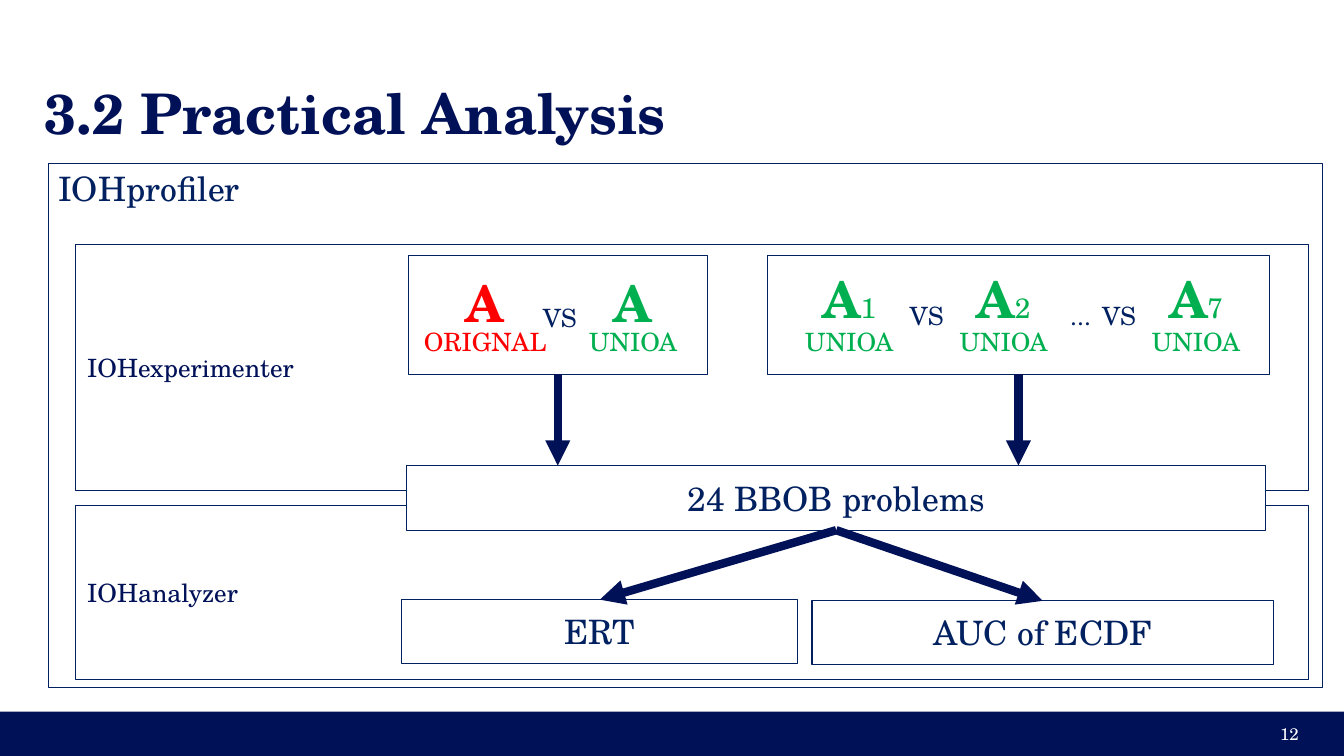
from collections import namedtuple

from lxml.etree import SubElement
from pptx import Presentation
from pptx.dml.color import RGBColor
from pptx.enum.shapes import MSO_CONNECTOR as Connector, MSO_SHAPE as Shape
from pptx.enum.text import MSO_ANCHOR as Anchor, PP_ALIGN as Align
from pptx.oxml.ns import qn
from pptx.util import Cm, Pt

COLORS = {
    "navy": "001158",
    "ink": "002060",
    "red": "FF0000",
    "green": "00B050",
    "white": "FFFFFF",
}
FONT = "TeX Gyre Schola"
Box = namedtuple("Box", "left top width height")


def color(name):
    return RGBColor.from_string(COLORS[name])


def center(box):
    return box.left + box.width / 2


def bottom(box):
    return box.top + box.height


def write(shape, runs, align=Align.CENTER, anchor=Anchor.MIDDLE, inset=(0, 0)):
    """Each run is (text, size, color name, bold); inset is (sides, top and bottom)."""
    frame = shape.text_frame
    side, edge = map(Cm, inset)
    frame_format = {
        "word_wrap": True, "vertical_anchor": anchor,
        "margin_left": side, "margin_right": side,
        "margin_top": edge, "margin_bottom": edge,
    }
    for name, value in frame_format.items():
        setattr(frame, name, value)
    paragraph = frame.paragraphs[0]
    paragraph.alignment = align
    for text, size, color_name, bold in runs:
        run = paragraph.add_run()
        run.text = text
        for name, value in {"name": FONT, "size": Pt(size), "bold": bold}.items():
            setattr(run.font, name, value)
        run.font.color.rgb = color(color_name)


def add_text(slide, box, runs, **layout):
    write(slide.shapes.add_textbox(*map(Cm, box)), runs, **layout)


def add_box(slide, box, fill=None, line="ink"):
    shape = slide.shapes.add_shape(Shape.RECTANGLE, *map(Cm, box))
    shape.shadow.inherit = False
    if fill:
        shape.fill.solid()
        shape.fill.fore_color.rgb = color(fill)
    else:
        shape.fill.background()
    if line:
        shape.line.color.rgb = color(line)
        shape.line.width = Pt(0.75)
    else:
        shape.line.fill.background()
    return shape


def add_arrow(slide, start, end):
    arrow = slide.shapes.add_connector(Connector.STRAIGHT, *map(Cm, start + end))
    arrow.line.color.rgb = color("navy")
    arrow.line.width = Pt(6)
    SubElement(arrow.line._get_or_add_ln(), qn("a:tailEnd"), type="triangle")
    SubElement(arrow._element.spPr, qn("a:effectLst"))


def add_algorithm(slide, middle, top, label_top, name, color_name, index=""):
    """Large A, with an optional index, above the name of its variant."""
    runs = [("A", 36, color_name, True)]
    if index:
        runs.append((index, 20, color_name, False))
    add_text(slide, Box(middle - 1.2, top, 2.4, 1.6), runs)
    add_text(slide, Box(middle - 1.85, label_top, 3.7, 1.17),
             [(name, 18, color_name, False)])


def add_word(slide, middle, top, word):
    add_text(slide, Box(middle - 0.88, top, 1.76, 1.6), [(word, 18, "ink", False)])


def add_pair(slide, box):
    add_box(slide, box)
    variants = [(1.94, "ORIGNAL", "red"), (5.67, "UNIOA", "green")]
    for offset, name, color_name in variants:
        add_algorithm(slide, box.left + offset, box.top + 0.38, box.top + 1.6,
                      name, color_name)
    add_word(slide, box.left + 3.82, box.top + 0.78, "VS")


def add_series(slide, box):
    add_box(slide, box)
    for offset, index in [(2.06, "1"), (5.95, "2"), (10.8, "7")]:
        middle = box.left + offset
        add_algorithm(slide, middle, box.top + 0.28, box.top + 1.6,
                      "UNIOA", "green", index)
        if index != "1":
            add_word(slide, middle - 1.94, box.top + 0.73, "VS")
        if index == "7":
            add_word(slide, middle - 2.91, box.top + 0.73, "...")


def add_diagram(slide, area):
    def inside(left, top, width, height):
        return Box(area.left + left, area.top + top, width, height)

    # Nested tool frames
    write(add_box(slide, area), [("IOHprofiler", 24, "ink", False)],
          align=Align.LEFT, anchor=Anchor.TOP, inset=(0.25, 0.13))
    frames = [("IOHanalyzer", 8.64, 4.37), ("IOHexperimenter", 2.04, 6.2)]
    for name, top, height in frames:
        frame = add_box(slide, inside(0.68, top, 31.09, height), fill="white")
        write(frame, [(name, 18, "navy", False)], align=Align.LEFT, inset=(0.3, 0.3))

    # Comparisons, test problems and measures
    pair = inside(9.07, 2.32, 7.54, 3)
    series = inside(18.13, 2.32, 12.65, 3)
    problems = inside(9.04, 7.62, 21.64, 1.63)
    ert = inside(8.91, 11, 9.98, 1.6)
    auc = inside(19.25, 11.03, 11.63, 1.6)
    add_pair(slide, pair)
    add_series(slide, series)
    labelled = [(problems, "24 BBOB problems", "white"),
                (ert, "ERT", None), (auc, "AUC of ECDF", None)]
    for box, text, fill in labelled:
        write(add_box(slide, box, fill), [(text, 24, "ink", False)])

    # Flow from comparisons through problems to measures
    for box in (pair, series):
        add_arrow(slide, (center(box), bottom(box)), (center(box), problems.top))
    for box in (ert, auc):
        add_arrow(slide, (center(problems), bottom(problems)), (center(box), box.top))


def add_footer(slide, box):
    add_box(slide, box, fill="navy", line=None)
    add_text(slide, Box(box.width - 8.51, box.top + 0.05, 7.62, 1.02),
             [("12", 12, "white", False)], align=Align.RIGHT, inset=(0.25, 0.13))


def main():
    presentation = Presentation()
    presentation.slide_width, presentation.slide_height = Cm(33.88), Cm(19.05)
    slide = presentation.slides.add_slide(presentation.slide_layouts[6])
    add_footer(slide, Box(0, 17.93, 33.88, 1.12))
    add_text(slide, Box(1.12, 1.12, 22.81, 3.4),
             [("3.2 Practical Analysis", 40, "navy", True)], align=Align.LEFT)
    add_diagram(slide, Box(1.22, 4.11, 32.13, 13.21))
    presentation.save("out.pptx")


if __name__ == "__main__":
    main()
